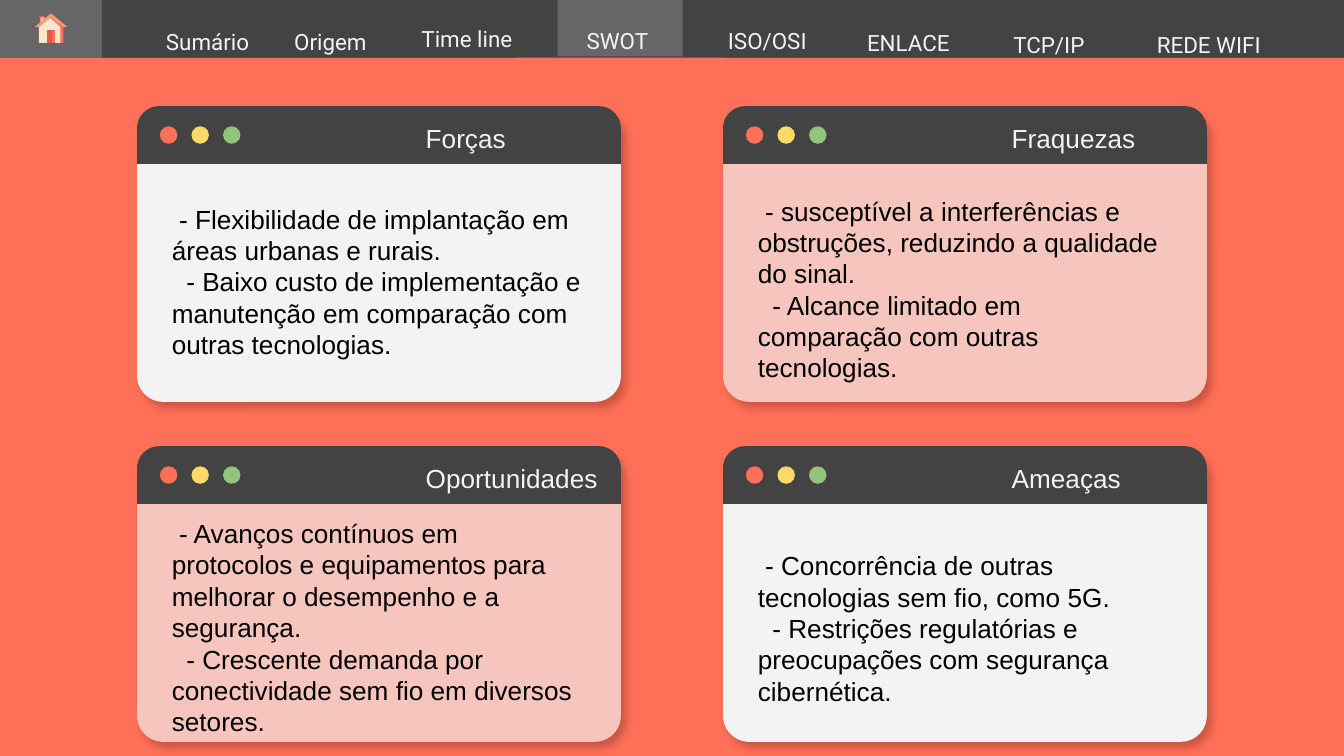
import pptx
import pptx.util
import pptx.dml.color
import pptx.enum.shapes
import pptx.enum.text
import pptx.oxml
import pptx.oxml.ns

Inches = pptx.util.Inches
Pt = pptx.util.Pt
Kind = pptx.enum.shapes.MSO_SHAPE
Align = pptx.enum.text.PP_ALIGN
Anchor = pptx.enum.text.MSO_ANCHOR

COLORS = {
    "coral": "FF7058", "dark": "434343", "gray": "666666", "light": "F3F3F3",
    "pink": "F6C5BE", "yellow": "FFD966", "green": "93C47D", "black": "000000",
    "cream": "FCE5CD", "brick": "E55A43", "rose": "F9ABA0", "orange": "FF9A75",
    "shadow": "963A2A",
}

NAV = [
    ("Sumário", 1.12, 0.10, 0.89),
    ("Origem", 2.03, 0.10, 0.90),
    ("Time line", 2.95, 0.08, 1.09),
    ("SWOT", 4.05, 0.09, 1.13),
    ("ISO/OSI", 5.19, 0.09, 1.08),
    ("ENLACE", 6.29, 0.11, 0.98),
    ("TCP/IP", 7.28, 0.12, 1.09),
    ("REDE WIFI", 8.39, 0.12, 1.25),
]

CARDS = [
    ("Forças", 0, 0, "light", 0.62, 1.36, [
        "- Flexibilidade de implantação em áreas urbanas e rurais.",
        "- Baixo custo de implementação e manutenção em comparação com outras tecnologias."]),
    ("Fraquezas", 1, 0, "pink", 0.56, 1.59, [
        "- susceptível a interferências e obstruções, reduzindo a qualidade do sinal.",
        "- Alcance limitado em comparação com outras tecnologias."]),
    ("Oportunidades", 0, 1, "pink", 0.43, 1.82, [
        "- Avanços contínuos em protocolos e equipamentos para melhorar o desempenho e a segurança.",
        "- Crescente demanda por conectividade sem fio em diversos setores."]),
    ("Ameaças", 1, 1, "light", 0.67, 1.36, [
        "- Concorrência de outras tecnologias sem fio, como 5G.",
        "- Restrições regulatórias e preocupações com segurança cibernética."]),
]

HOUSE = [
    ("pink", [(0.30, 0.13), (0.30, 0.17), (0.33, 0.14), (0.33, 0.13)]),
    ("rose", [(0.31, 0.13), (0.31, 0.16), (0.33, 0.14), (0.33, 0.13)]),
    ("cream", [(0.38, 0.12), (0.29, 0.20), (0.29, 0.32), (0.47, 0.32), (0.47, 0.20)]),
    ("coral", [(0.38, 0.12), (0.37, 0.13), (0.45, 0.20), (0.45, 0.32), (0.47, 0.32), (0.47, 0.20)]),
    ("brick", [(0.29, 0.12), (0.29, 0.13), (0.33, 0.13), (0.33, 0.12)]),
    ("brick", [(0.35, 0.22), (0.35, 0.32), (0.41, 0.32), (0.41, 0.22)]),
    ("coral", [(0.39, 0.22), (0.39, 0.32), (0.41, 0.32), (0.41, 0.22)]),
    ("orange", [(0.38, 0.10), (0.26, 0.20), (0.29, 0.20), (0.38, 0.13), (0.47, 0.20), (0.50, 0.20)]),
    ("coral", [(0.32, 0.12), (0.32, 0.13), (0.33, 0.13), (0.33, 0.12)]),
]

WIDTH = 10
HEIGHT = WIDTH * 9 / 16
BAR_HEIGHT = 0.43
HOME_WIDTH = 0.76
TAB_WIDTH = (WIDTH - HOME_WIDTH) / 6
CARD_LEFT, CARD_TOP = 1.02, 0.79
CARD_WIDTH, CARD_HEIGHT = 3.6, 2.19
COLUMN_STEP, ROW_STEP = 4.36, 2.53
DOT_SIZE, DOT_STEP = 0.13, 0.235


def rgb(name):
    return pptx.dml.color.RGBColor.from_string(COLORS[name])


def paint(shape, color):
    shape.shadow.inherit = False
    shape.fill.solid()
    shape.fill.fore_color.rgb = rgb(color)
    shape.line.fill.background()
    return shape


def add_block(shapes, kind, left, top, width, height, color, adjustments=()):
    shape = shapes.add_shape(kind, *map(Inches, (left, top, width, height)))
    for index, value in enumerate(adjustments):
        shape.adjustments[index] = value
    return paint(shape, color)


def write(shape, lines, size, font, color, margins, anchor, align=Align.LEFT):
    frame = shape.text_frame
    frame.word_wrap = True
    frame.vertical_anchor = anchor
    frame.margin_left, frame.margin_top, frame.margin_right, frame.margin_bottom = map(Inches, margins)
    frame.text = "\n".join(lines)
    for para in frame.paragraphs:
        para.alignment = align
        for span in para.runs:
            span.font.size = Pt(size)
            span.font.name = font
            span.font.color.rgb = rgb(color)
    return frame.paragraphs


def cast_shadow(shape):
    effects = shape.element.spPr.find(pptx.oxml.ns.qn("a:effectLst"))
    effects.append(pptx.oxml.parse_xml(
        f'<a:outerShdw {pptx.oxml.ns.nsdecls("a")} blurRad="{Pt(4.5)}" dist="{Pt(3.8)}" '
        f'dir="{49 * 60000}" algn="bl" rotWithShape="0"><a:srgbClr val="{COLORS["shadow"]}">'
        '<a:alpha val="47000"/></a:srgbClr></a:outerShdw>'))


def add_house(page):
    group = page.shapes.add_group_shape()
    for color, points in HOUSE:
        corners = [(Inches(x), Inches(y)) for x, y in points]
        builder = group.shapes.build_freeform(*corners[0])
        builder.add_line_segments(corners[1:], close=True)
        paint(builder.convert_to_shape(), color)


def add_navigation(page):
    add_block(page.shapes, Kind.RECTANGLE, 0, 0, WIDTH, BAR_HEIGHT, "dark")
    add_block(page.shapes, Kind.RECTANGLE, 0, 0, HOME_WIDTH, BAR_HEIGHT, "gray")
    for column in (0, 1, 3, 4, 5):
        add_block(page.shapes, Kind.RECTANGLE, HOME_WIDTH + column * TAB_WIDTH, 0,
                  TAB_WIDTH, BAR_HEIGHT, "dark")
    add_block(page.shapes, Kind.RECTANGLE, 4.15, 0, 0.93, 0.42, "gray")
    add_house(page)
    for label, left, top, width in NAV:
        box = page.shapes.add_textbox(*map(Inches, (left, top, width, 0.22)))
        for para in write(box, [label], 12, "Roboto", "light", (0.1, 0.2, 0.14, 0),
                          Anchor.MIDDLE, Align.CENTER):
            para.space_after = Pt(16)


def add_card(page, title, column, row, color, body_offset, body_height, lines):
    left = CARD_LEFT + column * COLUMN_STEP
    top = CARD_TOP + row * ROW_STEP
    group = page.shapes.add_group_shape()
    panel = add_block(group.shapes, Kind.ROUNDED_RECTANGLE, left, top + 0.01,
                      CARD_WIDTH, CARD_HEIGHT, color, [0.089])
    cast_shadow(panel)
    header = add_block(group.shapes, Kind.ROUND_2_SAME_RECTANGLE, left, top,
                       CARD_WIDTH, BAR_HEIGHT, "dark", [0.383, 0])
    write(header, [title], 14, "Arial", "light", (2.1, 0.1, 0, 0.1), Anchor.MIDDLE)
    for index, dot in enumerate(("coral", "yellow", "green")):
        add_block(group.shapes, Kind.OVAL, left + 0.17 + index * DOT_STEP, top + 0.15,
                  DOT_SIZE, DOT_SIZE, dot)
    body = page.shapes.add_textbox(
        *map(Inches, (left + 0.16, top + body_offset, 3.28, body_height)))
    paragraphs = write(body, lines, 14, "Arial", "black", (0.1, 0.1, 0.1, 0.1), Anchor.TOP)
    for number, para in enumerate(paragraphs, 1):
        properties = para._p.get_or_add_pPr()
        properties.set("marL", "0")
        properties.set("indent", str(Pt(3.9 * number)))


def main():
    deck = pptx.Presentation()
    deck.slide_width, deck.slide_height = Inches(WIDTH), Inches(HEIGHT)
    page = deck.slides.add_slide(deck.slide_layouts[6])
    page.background.fill.solid()
    page.background.fill.fore_color.rgb = rgb("coral")
    add_navigation(page)
    for card in CARDS:
        add_card(page, *card)
    deck.save("out.pptx")


if __name__ == "__main__":
    main()
